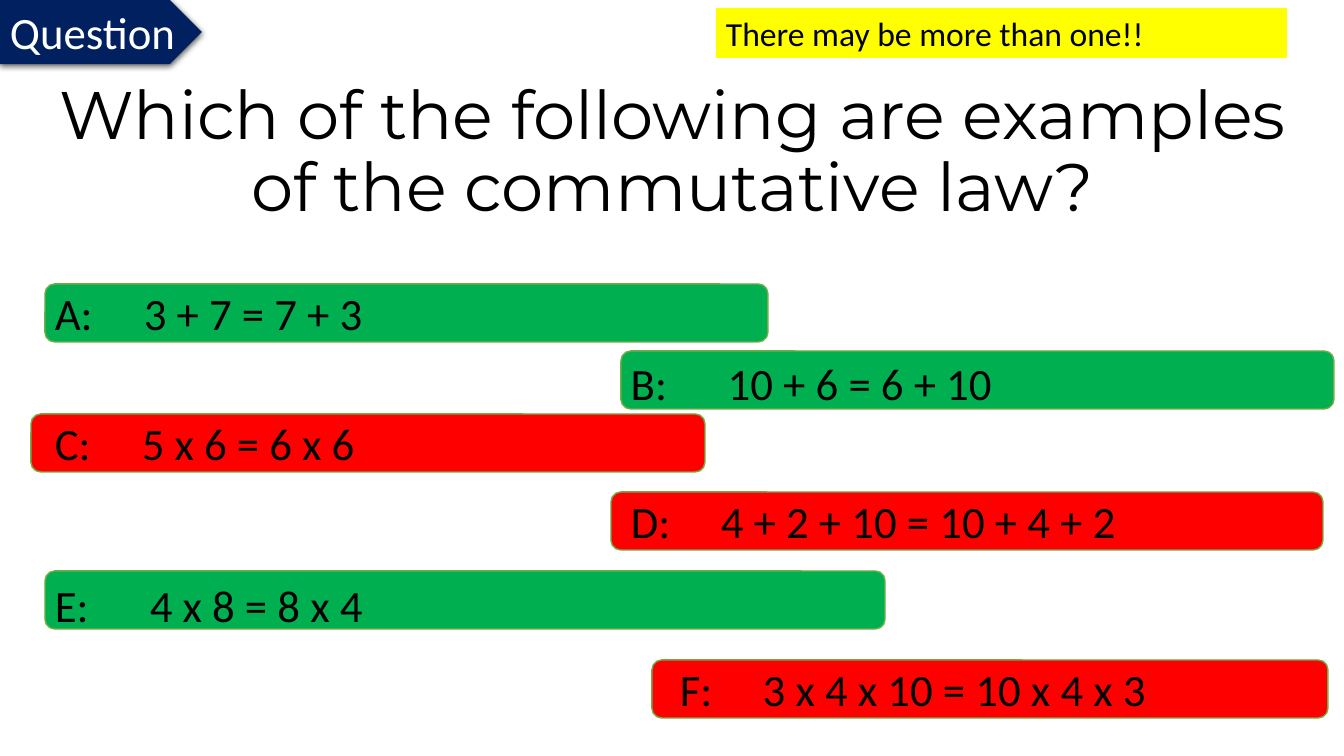
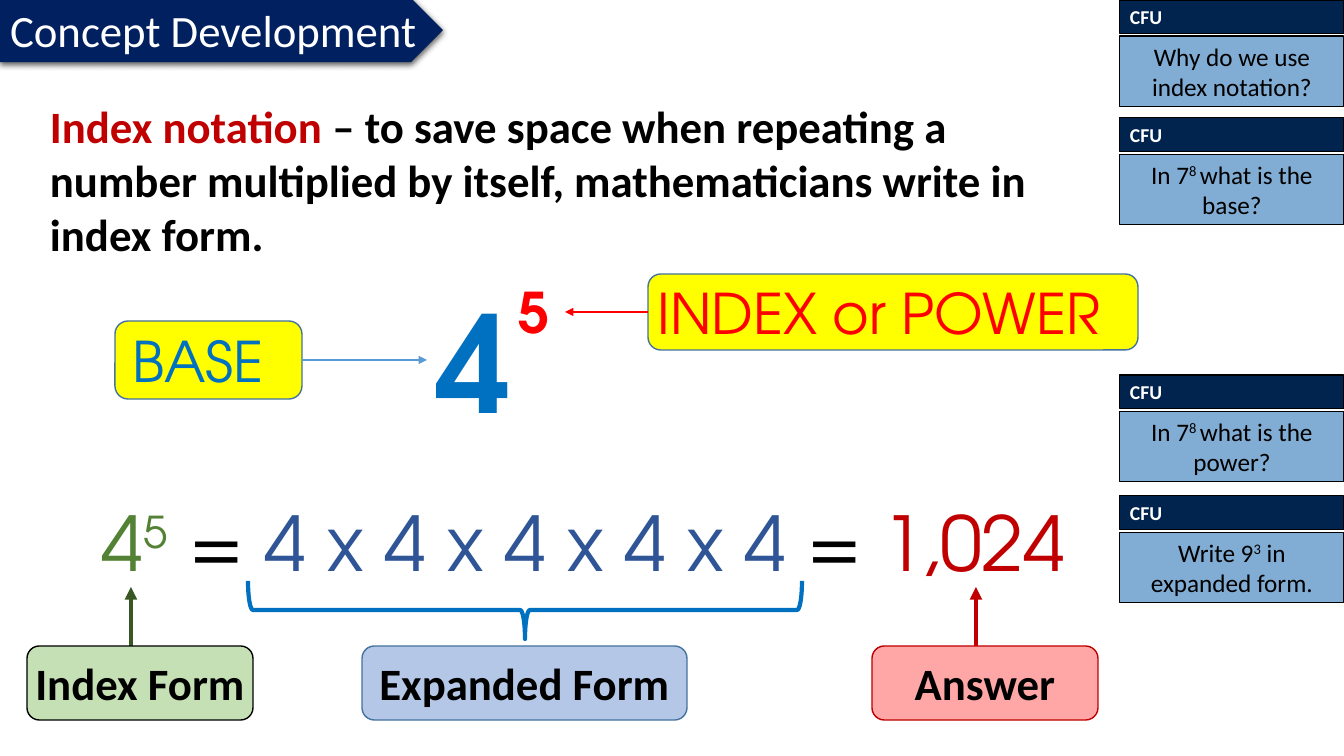
import pptx
import pptx.dml.color
import pptx.enum.shapes
import pptx.enum.text
import pptx.oxml
import pptx.oxml.ns
import pptx.util
from dataclasses import dataclass

SHAPE = pptx.enum.shapes.MSO_SHAPE
ALIGN = pptx.enum.text.PP_ALIGN
ANCHOR = pptx.enum.text.MSO_ANCHOR
EMU_PER_PX = 914400 / 100.8


@dataclass(frozen=True)
class Theme:
    body: str = "Calibri"
    title: str = "Montserrat"
    maths: str = "TeX Gyre Adventor"
    black: str = "000000"
    white: str = "FFFFFF"
    banner: str = "002060"
    yellow: str = "FFFF00"
    right: str = "00B050"
    wrong: str = "FF0000"
    bar_edge: str = "70AD47"
    label_edge: str = "43739E"
    blue: str = "0070C0"
    red: str = "FF0000"
    dark_red: str = "C00000"
    check_head: str = "01244E"
    check_body: str = "2E75B6"
    pt_cfu: int = 14
    pt_check: int = 18
    pt_notice: int = 24
    pt_main: int = 32
    pt_label: int = 40
    pt_title: int = 48
    pt_equation: int = 54
    pt_power_base: int = 96


T = Theme()

# ---- Content: slide 1 ----
QUESTION = "Which of the following are examples of the commutative law?"
NOTICE = "There may be more than one!!"
# letter, expression, correct, bar (left, top, width), text inset, tab, text drop
ANSWERS = [
    ("A:", "3 + 7 = 7 + 3", True, (45, 284, 723), 7, 89, 0),
    ("B:", "10 + 6 = 6 + 10", True, (621, 351, 713), 7, 97, 3),
    ("C:", "5 x 6 = 6 x 6", False, (31, 414, 674), 21, 87, 0),
    ("D:", "4 + 2 + 10 = 10 + 4 + 2", False, (611, 492, 712), 17, 90, 0),
    ("E:", "4 x 8 = 8 x 4", True, (45, 571, 840), 7, 95, 5),
    ("F:", "3 x 4 x 10 = 10 x 4 x 3", False, (652, 660, 676), 25, 83, 0),
]
BAR_HEIGHT = 58

# ---- Content: slide 2 (runs are text, colour, raised) ----
DEFINITION = [
    ("Index notation ", T.dark_red, False),
    ("– to save space when repeating a number multiplied by itself, "
     "mathematicians write in index form.", T.black, False),
]
EQUATION = [
    ("4", "548235", False), ("5", "548235", True), (" = ", T.black, False),
    ("4 x 4 x 4 x 4 x 4 ", "2F5597", False), ("= ", T.black, False),
    ("1,024", T.dark_red, False),
]
# text, colour, size, box
POWER = [
    ("4", T.blue, T.pt_power_base, (427, 274, 277, 173)),
    ("5", T.red, T.pt_label, (509, 273, 215, 78)),
]
# text, colour, box, text inset, side joined, arrow tip x, arrow colour
LABELS = [
    ("BASE", T.blue, (115, 321, 187, 78), 14, 3, 427, "5B9BD5"),
    ("INDEX or POWER", T.red, (648, 274, 490, 76), 6, 1, 565, T.red),
]
# text, left, width, fill, edge, arrow (x, colour)
CAPTIONS = [
    ("Index Form", 27, 226, "C5E0B4", T.black, (131, "385723")),
    ("Expanded Form", 362, 325, "B4C7E7", T.label_edge, None),
    ("Answer", 872, 226, "FFA7A7", T.dark_red, (976, T.dark_red)),
]
CAPTION_TOP, CAPTION_HEIGHT, ARROW_TIP = 646, 74, 587
CHECKS = [
    (0, [("Why do we use index notation?", None, False)]),
    (118, [("In 7", None, False), ("8 ", None, True),
           ("what is the base?", None, False)]),
    (375, [("In 7", None, False), ("8 ", None, True),
           ("what is the power?", None, False)]),
    (496, [("Write 9", None, False), ("3", None, True),
           (" in expanded form.", None, False)]),
]
CHECK_LEFT, CHECK_WIDTH, HEAD_HEIGHT, CHECK_STEP, CHECK_HEIGHT = 1120, 224, 34, 36, 71


# ---- Helpers ----
def px(n):
    return pptx.util.Emu(round(n * EMU_PER_PX))


def rgb(code):
    return pptx.dml.color.RGBColor.from_string(code)


def add_xml(parent, xml):
    head, rest = xml.split(" ", 1) if " " in xml else (xml[:-2], "/>")
    node = pptx.oxml.parse_xml(f"{head} {pptx.oxml.ns.nsdecls('a')} {rest}")
    parent.append(node)


def write(shape, runs, size, color=T.black, font=T.body, bold=False, align=ALIGN.LEFT,
          anchor=ANCHOR.MIDDLE, insets=(10, 5, 10, 5), tab=None, spacing=None):
    frame = shape.text_frame
    frame.word_wrap = True
    frame.vertical_anchor = anchor
    (frame.margin_left, frame.margin_top,
     frame.margin_right, frame.margin_bottom) = map(px, insets)
    paragraph = frame.paragraphs[0]
    paragraph.alignment = align
    if spacing:
        paragraph.line_spacing = spacing
    if tab:
        add_xml(paragraph._p.get_or_add_pPr(),
                f'<a:tabLst ><a:tab pos="{px(tab)}" algn="l"/></a:tabLst>')
    paragraph.font.name = font
    paragraph.font.size = pptx.util.Pt(size)
    paragraph.font.bold = bold
    paragraph.font.color.rgb = rgb(color)
    if isinstance(runs, str):
        runs = [(runs, None, False)]
    for text, run_color, raised in runs:
        run = paragraph.add_run()
        run.text = text
        if run_color:
            run.font.color.rgb = rgb(run_color)
        if raised:
            run._r.get_or_add_rPr().set("baseline", "30000")


def add_text(slide, box, runs, size, **style):
    write(slide.shapes.add_textbox(*map(px, box)), runs, size,
          anchor=ANCHOR.TOP, **style)


def add_block(slide, kind, box, fill=None, edge=None, width=1):
    block = slide.shapes.add_shape(kind, *map(px, box))
    block.shadow.inherit = False
    if fill:
        block.fill.solid()
        block.fill.fore_color.rgb = rgb(fill)
    else:
        block.fill.background()
    if edge:
        block.line.color.rgb = rgb(edge)
        block.line.width = pptx.util.Pt(width)
    else:
        block.line.fill.background()
    return block


def add_arrow(slide, start, tip, color, width):
    arrow = slide.shapes.add_connector(
        pptx.enum.shapes.MSO_CONNECTOR.STRAIGHT, *map(px, start + tip))
    arrow.line.color.rgb = rgb(color)
    arrow.line.width = pptx.util.Pt(width)
    add_xml(arrow.line._get_or_add_ln(), '<a:tailEnd type="triangle"/>')
    add_xml(arrow._element.spPr, "<a:effectLst/>")
    return arrow


def add_banner(slide, text, top, width):
    banner = add_block(slide, SHAPE.PENTAGON, (0, top, width, 64), T.banner)
    effects = banner._element.spPr.find(pptx.oxml.ns.qn("a:effectLst"))
    add_xml(effects, '<a:outerShdw blurRad="57150" dist="19050" dir="5400000" '
                     'algn="ctr" rotWithShape="0"><a:srgbClr val="000000">'
                     '<a:alpha val="63000"/></a:srgbClr></a:outerShdw>')
    write(banner, text, T.pt_main, T.white, insets=(10, 5, 0, 5))


# ---- Slides ----
def build_question(slide):
    add_text(slide, (8, 76, 1329, 146), QUESTION, T.pt_title, font=T.title,
             align=ALIGN.CENTER, spacing=0.9)
    add_banner(slide, "Question", 0, 202)
    for letter, expression, correct, bar, inset, tab, drop in ANSWERS:
        answer = add_block(slide, SHAPE.ROUNDED_RECTANGLE, (*bar, BAR_HEIGHT),
                           T.right if correct else T.wrong, T.bar_edge)
        write(answer, f"{letter}\t{expression}", T.pt_main,
              insets=(inset, 2 * drop, 0, 0), tab=tab)
    notice = add_block(slide, SHAPE.RECTANGLE, (716, 8, 571, 50), T.yellow)
    write(notice, NOTICE, T.pt_notice)


def build_concept(slide):
    add_banner(slide, "Concept Development", -2, 443)
    add_text(slide, (40, 94, 1041, 173), DEFINITION, T.pt_main, bold=True)

    # Power with its labelled parts
    for text, color, box, inset, side, tip, arrow_color in LABELS:
        label = add_block(slide, SHAPE.ROUNDED_RECTANGLE, box, T.yellow, T.label_edge)
        write(label, text, T.pt_label, color, T.maths, insets=(inset, 0, 0, 0))
        middle = box[1] + box[3] // 2
        arrow = add_arrow(slide, (box[0], middle), (tip, middle), arrow_color, 1.5)
        arrow.begin_connect(label, side)
    for text, color, size, box in POWER:
        add_text(slide, box, text, size, color=color, font=T.maths, bold=True)

    # Equation with captions below
    add_text(slide, (92, 491, 999, 102), EQUATION, T.pt_equation, font=T.maths)
    brace = add_block(slide, SHAPE.RIGHT_BRACE, (496, 333, 58, 554), edge=T.blue, width=3)
    brace.rotation = 90
    for text, left, width, fill, edge, pointer in CAPTIONS:
        if pointer:
            x, color = pointer
            add_arrow(slide, (x, CAPTION_TOP), (x, ARROW_TIP), color, 3)
        caption = add_block(slide, SHAPE.ROUNDED_RECTANGLE,
                            (left, CAPTION_TOP, width, CAPTION_HEIGHT), fill, edge)
        write(caption, text, T.pt_main, bold=True, align=ALIGN.CENTER,
              insets=(0, 0, 0, 0))

    # Checks for understanding
    for top, question in CHECKS:
        head = add_block(slide, SHAPE.RECTANGLE,
                         (CHECK_LEFT, top, CHECK_WIDTH, HEAD_HEIGHT),
                         T.check_head, T.black, 0.75)
        write(head, "CFU", T.pt_cfu, T.white, bold=True)
        body = add_block(slide, SHAPE.RECTANGLE,
                         (CHECK_LEFT, top + CHECK_STEP, CHECK_WIDTH, CHECK_HEIGHT),
                         T.check_body, T.black, 0.75)
        tint = body._element.spPr.find(pptx.oxml.ns.qn("a:solidFill"))[0]
        add_xml(tint, '<a:alpha val="60000"/>')
        write(body, question, T.pt_check, align=ALIGN.CENTER)


def main():
    deck = pptx.Presentation()
    deck.slide_width, deck.slide_height = px(1344), px(756)
    for build in (build_question, build_concept):
        build(deck.slides.add_slide(deck.slide_layouts[6]))
    deck.save("out.pptx")


if __name__ == "__main__":
    main()
